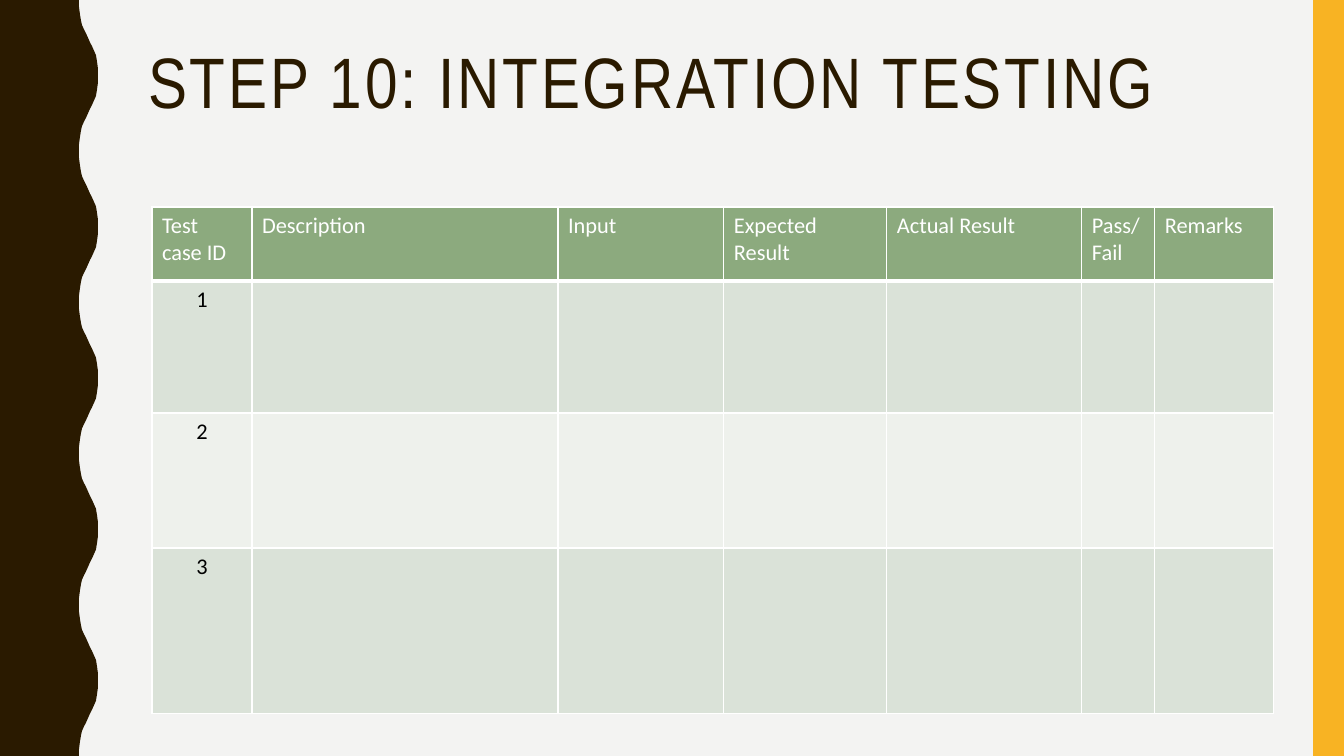
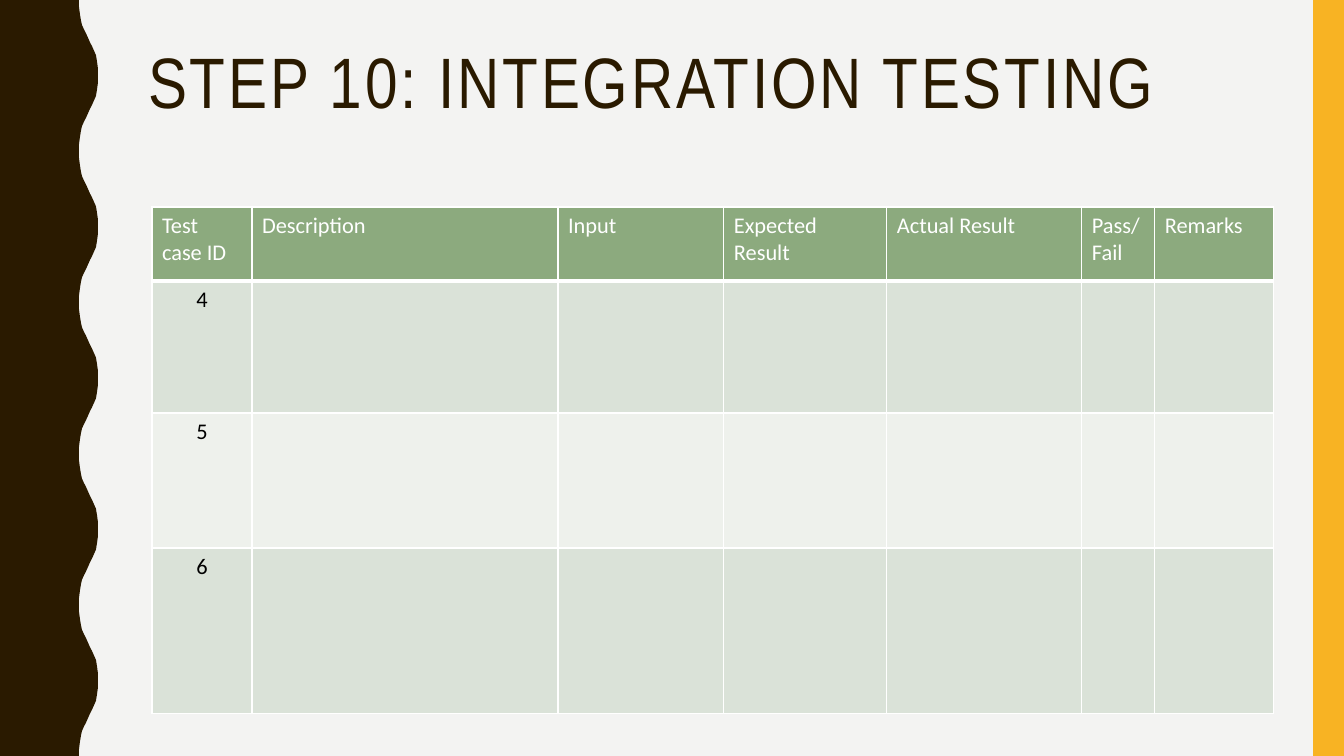
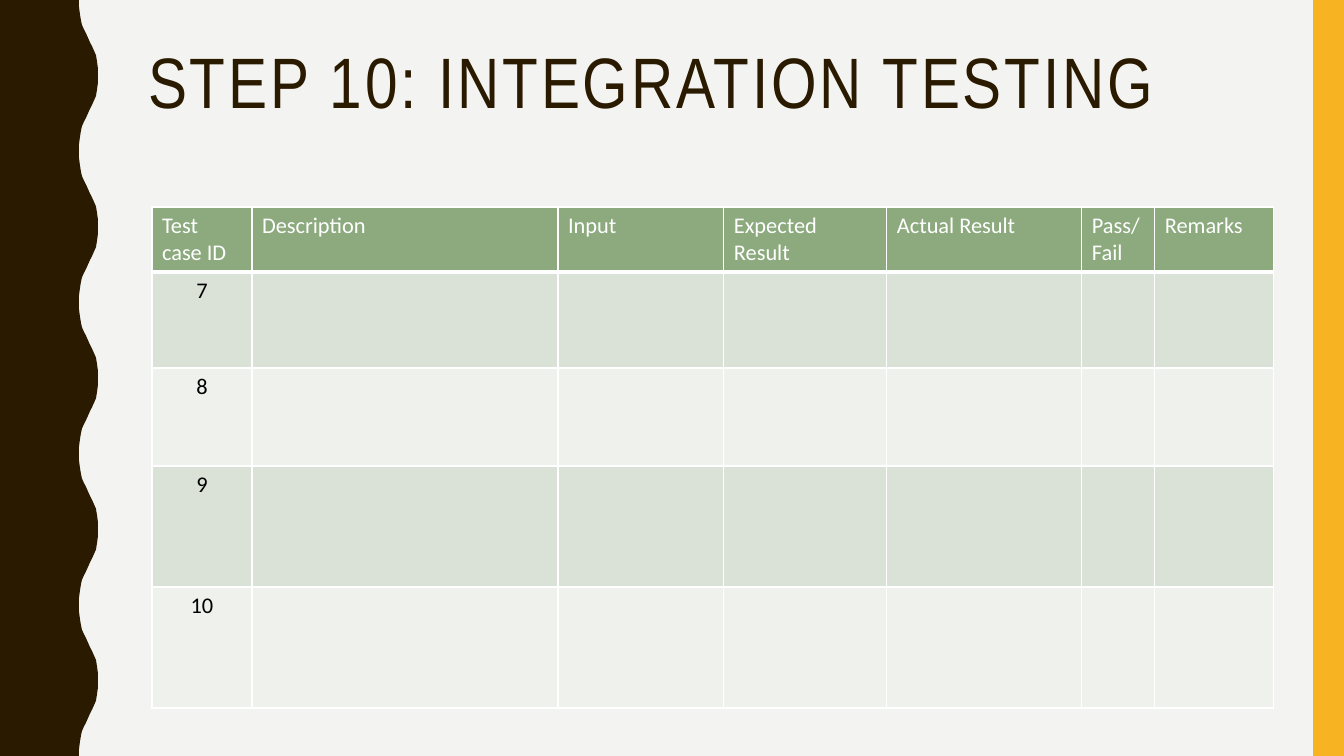
import dataclasses

import pptx
import pptx.dml.color
import pptx.enum.shapes
import pptx.enum.text
import pptx.oxml.ns
import pptx.presentation
import pptx.shapes.autoshape
import pptx.slide
import pptx.table
import pptx.util
from lxml import etree

RGBColor = pptx.dml.color.RGBColor

EMU_PER_PX = 914400 / 100.8
SLIDE_WIDTH, SLIDE_HEIGHT = 1344, 756

PAPER = RGBColor(0xF3, 0xF3, 0xF2)
BROWN = RGBColor(0x2A, 0x1A, 0x00)
AMBER = RGBColor(0xF8, 0xB3, 0x23)
GREEN = RGBColor(0x8C, 0xAA, 0x7E)
GREEN_LIGHT = RGBColor(0xDA, 0xE2, 0xD8)
GREEN_PALE = RGBColor(0xEE, 0xF1, 0xEC)
WHITE = RGBColor(0xFF, 0xFF, 0xFF)
BLACK = RGBColor(0x00, 0x00, 0x00)

TITLE = "STEP 10: INTEGRATION TESTING"
TITLE_FONT, TABLE_FONT = "Arial Narrow", "Calibri"
TITLE_BOX = (138, 42, 1122, 165)
STRIPE_WIDTH = 31

WAVE_COUNT = 5
WAVE_LEFT = 79
# One rise of the wave: (px to the right, percent of the half wave's height)
WAVE_RISE = (
    (0, 0), (0, 9), (1, 19), (2, 27), (3, 33), (5, 39), (7, 44), (9, 50),
    (11, 56), (13, 61), (15, 67), (17, 73), (18, 81), (19, 91), (19, 100),
)

TABLE_LEFT, TABLE_TOP = 152, 207


@dataclasses.dataclass(frozen=True)
class Column:
    heading: str
    width: int


@dataclasses.dataclass(frozen=True)
class TestPage:
    first_case: int
    header_height: int
    case_heights: tuple[int, ...]


COLUMNS = (
    Column("Test case ID", 100),
    Column("Description", 306),
    Column("Input", 166),
    Column("Expected Result", 163),
    Column("Actual Result", 195),
    Column("Pass/Fail", 73),
    Column("Remarks", 119),
)

PAGES = (
    TestPage(1, 74, (132, 135, 166)),
    TestPage(4, 74, (132, 135, 166)),
    TestPage(7, 65, (96, 98, 121, 121)),
)


def px(length: float) -> pptx.util.Emu:
    return pptx.util.Emu(round(length * EMU_PER_PX))


def wave_points() -> list[tuple[int, int]]:
    """Give the wavy edge from top to bottom, each fall mirroring the rise."""
    half = SLIDE_HEIGHT / (2 * WAVE_COUNT)
    points = []
    for wave in range(WAVE_COUNT):
        crest = (2 * wave + 1) * half
        rise = [(px(WAVE_LEFT + x), px(crest - half * (100 - y) / 100)) for x, y in WAVE_RISE]
        fall = [(x, 2 * px(crest) - y) for x, y in reversed(rise)]
        points += rise + fall[1:]
    return points


def add_bands_to_layout(page: pptx.slide.Slide) -> None:
    """Draw the side bands on a page, then move them to its layout."""
    builder = page.shapes.build_freeform(0, 0, scale=1.0)
    builder.add_line_segments([*wave_points(), (0, px(SLIDE_HEIGHT))], close=True)
    wave = builder.convert_to_shape()
    stripe = page.shapes.add_shape(
        pptx.enum.shapes.MSO_SHAPE.RECTANGLE,
        px(SLIDE_WIDTH - STRIPE_WIDTH), 0, px(STRIPE_WIDTH), px(SLIDE_HEIGHT),
    )
    layout_tree = page.slide_layout.shapes.element
    for index, (band, color) in enumerate(((wave, BROWN), (stripe, AMBER))):
        band.shadow.inherit = False
        band.fill.solid()
        band.fill.fore_color.rgb = color
        band.line.fill.background()
        band.element.nvSpPr.cNvPr.id = 100 + index
        layout_tree.insert(2 + index, band.element)


def format_title(title: pptx.shapes.autoshape.Shape) -> None:
    title.left, title.top, title.width, title.height = map(px, TITLE_BOX)
    frame = title.text_frame
    frame.text = TITLE
    frame.word_wrap = True
    frame.auto_size = pptx.enum.text.MSO_AUTO_SIZE.NONE
    frame.vertical_anchor = pptx.enum.text.MSO_ANCHOR.TOP
    para = frame.paragraphs[0]
    para.alignment = pptx.enum.text.PP_ALIGN.LEFT
    para.line_spacing = 0.9
    font = para.runs[0].font
    font.name = TITLE_FONT
    font.size = pptx.util.Pt(51)
    font.color.rgb = BROWN
    para.runs[0].font._element.set("spc", "200")


def set_borders(cell: pptx.table._Cell, bottom_width: int) -> None:
    properties = cell._tc.get_or_add_tcPr()
    qn = pptx.oxml.ns.qn
    for side, width in (("L", 1), ("R", 1), ("T", 1), ("B", bottom_width)):
        line = etree.SubElement(properties, qn(f"a:ln{side}"), w=str(pptx.util.Pt(width)))
        fill = etree.SubElement(line, qn("a:solidFill"))
        etree.SubElement(fill, qn("a:srgbClr"), val=str(WHITE))


def fill_cell(cell: pptx.table._Cell, text: str, fill: RGBColor, is_header: bool) -> None:
    set_borders(cell, 3 if is_header else 1)
    cell.fill.solid()
    cell.fill.fore_color.rgb = fill
    cell.text_frame.text = text
    para = cell.text_frame.paragraphs[0]
    align = pptx.enum.text.PP_ALIGN
    para.alignment = align.LEFT if is_header else align.CENTER
    for span in para.runs:
        span.font.name = TABLE_FONT
        span.font.size = pptx.util.Pt(16)
        span.font.bold = False
        span.font.color.rgb = WHITE if is_header else BLACK


def add_test_table(page: pptx.slide.Slide, content: TestPage) -> None:
    heights = (content.header_height, *content.case_heights)
    table = page.shapes.add_table(
        len(heights), len(COLUMNS), px(TABLE_LEFT), px(TABLE_TOP),
        px(sum(column.width for column in COLUMNS)), px(sum(heights)),
    ).table
    for index, column in enumerate(COLUMNS):
        table.columns[index].width = px(column.width)
        fill_cell(table.cell(0, index), column.heading, GREEN, True)
    for row, height in enumerate(heights):
        table.rows[row].height = px(height)
        if row == 0:
            continue
        fill = GREEN_LIGHT if row % 2 else GREEN_PALE
        for index in range(len(COLUMNS)):
            text = str(content.first_case + row - 1) if index == 0 else ""
            fill_cell(table.cell(row, index), text, fill, False)


def build_deck() -> pptx.presentation.Presentation:
    deck = pptx.Presentation()
    deck.slide_width, deck.slide_height = px(SLIDE_WIDTH), px(SLIDE_HEIGHT)
    background = deck.slide_master.background.fill
    background.solid()
    background.fore_color.rgb = PAPER
    title_only = deck.slide_layouts[5]
    for number, content in enumerate(PAGES):
        page = deck.slides.add_slide(title_only)
        if number == 0:
            add_bands_to_layout(page)
        format_title(page.shapes.title)
        add_test_table(page, content)
    return deck


def main() -> None:
    build_deck().save("out.pptx")


if __name__ == "__main__":
    main()
